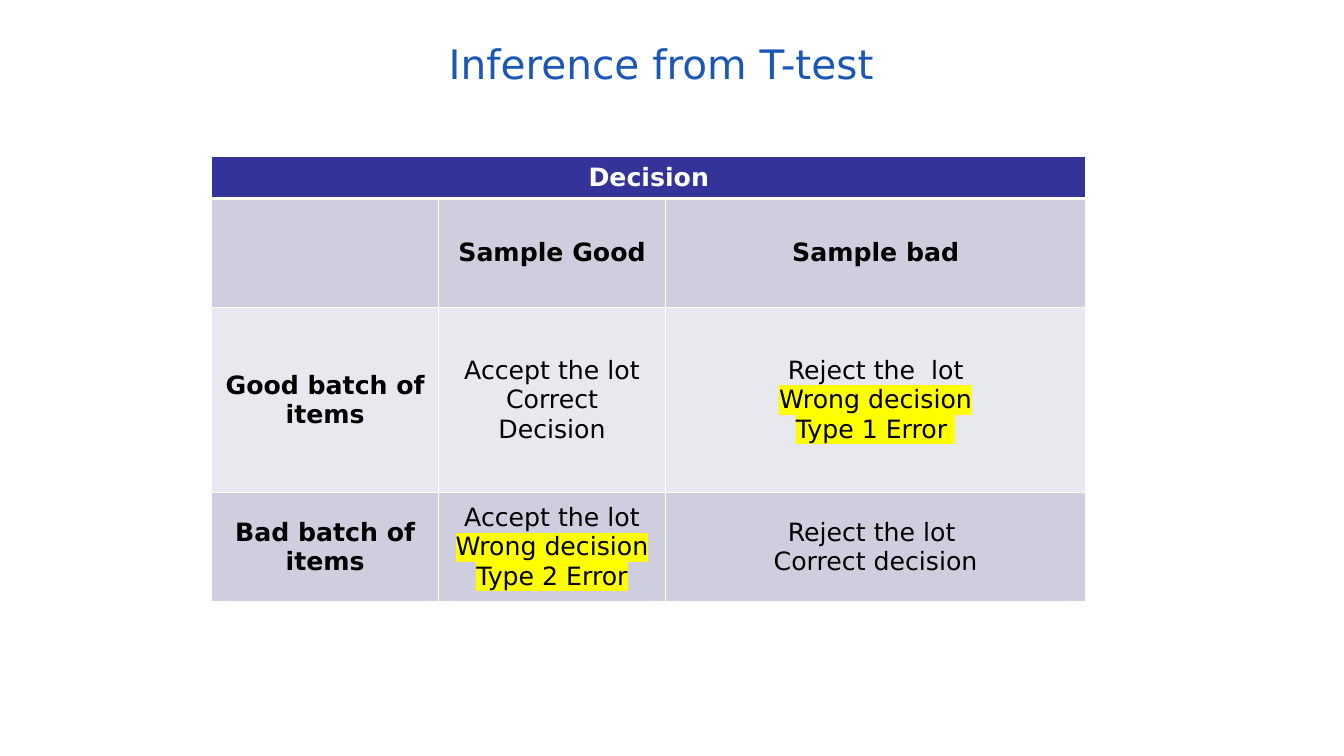
from dataclasses import dataclass

from lxml.etree import SubElement
from pptx import Presentation
from pptx.dml.color import RGBColor
from pptx.enum.text import MSO_ANCHOR, PP_ALIGN
from pptx.oxml import parse_xml
from pptx.oxml.ns import nsdecls, qn
from pptx.util import Inches, Pt


@dataclass(frozen=True)
class Theme:
    font: str = "DejaVu Sans"
    title_size: int = 29
    cell_size: int = 18
    title: str = "1B57B5"
    header: str = "333399"
    bands: tuple = ("E8E8EF", "CECEDE")
    light: str = "FFFFFF"
    dark: str = "000000"
    highlight: str = "FFFF00"


theme = Theme()


def style_span(span, size, color, bold=False, highlighted=False):
    font = span.font
    font.name, font.size, font.bold = theme.font, Pt(size), bold
    font.color.rgb = RGBColor.from_string(color)
    if highlighted:
        mark = parse_xml(f'<a:highlight {nsdecls("a")}><a:srgbClr val="{theme.highlight}"/></a:highlight>')
        font._element.find(qn("a:solidFill")).addnext(mark)


def set_borders(cell, bottom_width):
    properties = cell._tc.get_or_add_tcPr()
    for position, side in enumerate("LRTB"):
        width = bottom_width if side == "B" else 1
        line = parse_xml(f'<a:ln{side} {nsdecls("a")} w="{Pt(width)}"/>')
        fill = SubElement(line, qn("a:solidFill"))
        SubElement(fill, qn("a:srgbClr"), val=theme.light)
        properties.insert(position, line)


# Page
deck = Presentation()
deck.slide_width, deck.slide_height = Inches(13.33), Inches(7.5)
page = deck.slides.add_slide(deck.slide_layouts[5])

# Title
title = page.shapes.title
title.left, title.top = Inches(0.56), Inches(0.25)
title.width, title.height = Inches(12), Inches(0.75)
frame = title.text_frame
frame.text = "Inference from T-test"
frame.vertical_anchor = MSO_ANCHOR.MIDDLE
frame.paragraphs[0].alignment = PP_ALIGN.CENTER
style_span(frame.paragraphs[0].runs[0], theme.title_size, theme.title)

# Decision table: each cell is one paragraph per line
rows = [
    ["Decision", "", ""],
    ["", "Sample Good", "Sample bad"],
    ["Good batch of items", "Accept the lot\nCorrect Decision",
     "Reject the  lot\nWrong decision\nType 1 Error "],
    ["Bad batch of items", "Accept the lot\nWrong decision\nType 2 Error",
     "Reject the lot \nCorrect decision"],
]
column_widths = [2.25, 2.25, 4.17]
row_heights = [0.42, 1.08, 1.84, 1.08]
table = page.shapes.add_table(
    len(rows), len(column_widths), Inches(2.1), Inches(1.55),
    Inches(sum(column_widths)), Inches(sum(row_heights))).table
for column, width in zip(table.columns, column_widths):
    column.width = Inches(width)
for row, height in zip(table.rows, row_heights):
    row.height = Inches(height)
table.cell(0, 0).merge(table.cell(0, 2))

for row_index, texts in enumerate(rows):
    is_header = row_index == 0
    fill_color = theme.header if is_header else theme.bands[row_index % 2]
    text_color = theme.light if is_header else theme.dark
    for column_index, text in enumerate(texts):
        cell = table.cell(row_index, column_index)
        cell.fill.solid()
        cell.fill.fore_color.rgb = RGBColor.from_string(fill_color)
        set_borders(cell, bottom_width=3 if is_header else 1)
        cell.vertical_anchor = MSO_ANCHOR.MIDDLE
        cell.text_frame.text = text
        is_label = row_index < 2 or column_index == 0
        for para in cell.text_frame.paragraphs:
            para.alignment = PP_ALIGN.CENTER
            for span in para.runs:
                is_error = span.text.startswith(("Wrong", "Type"))
                style_span(span, theme.cell_size, text_color, is_label, is_error)

# The bands are listed with the darker one on odd rows
for row_index in (1, 2, 3):
    for column_index in range(len(column_widths)):
        band = theme.bands[row_index % 2]
        table.cell(row_index, column_index).fill.fore_color.rgb = RGBColor.from_string(band)

deck.save("out.pptx")
